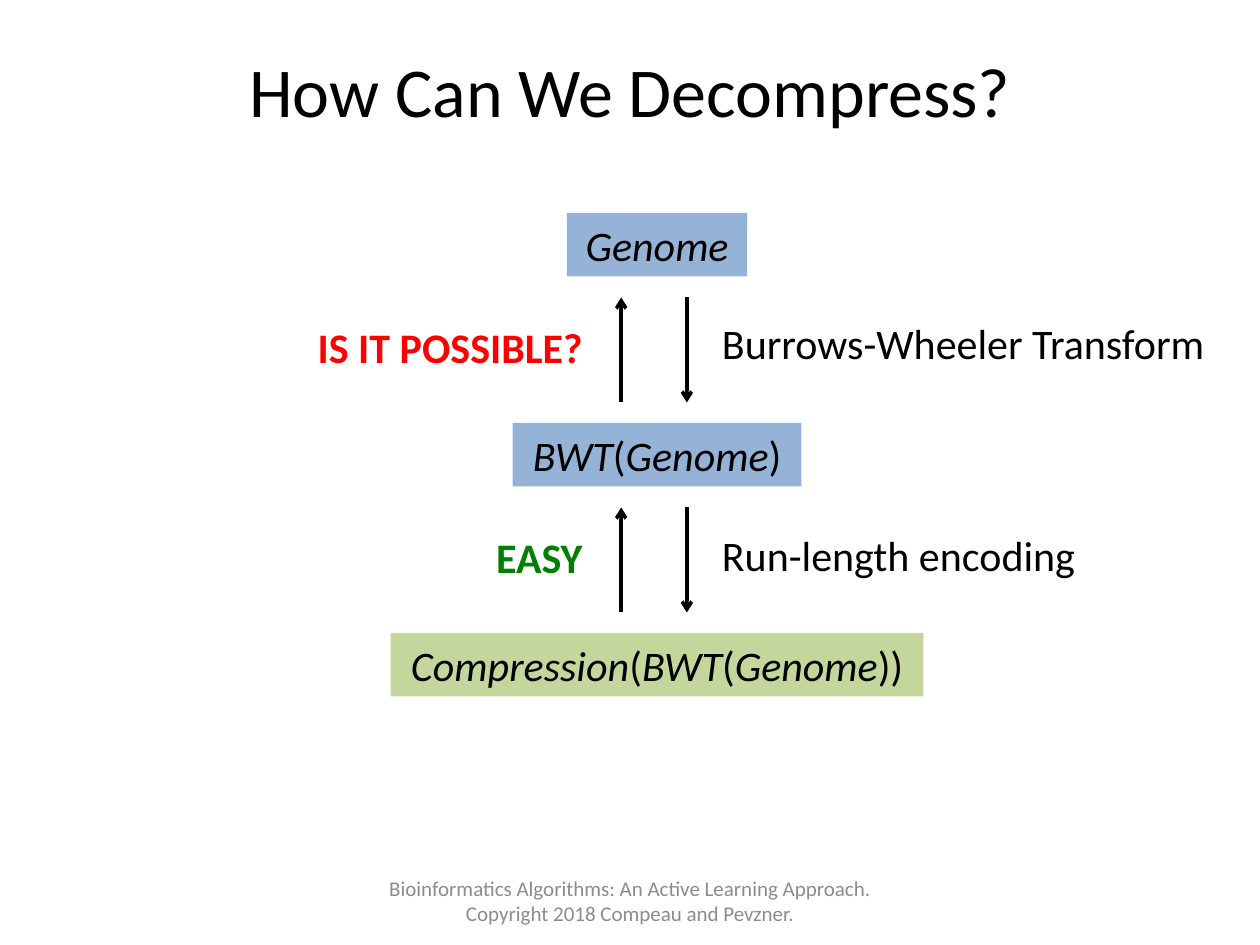
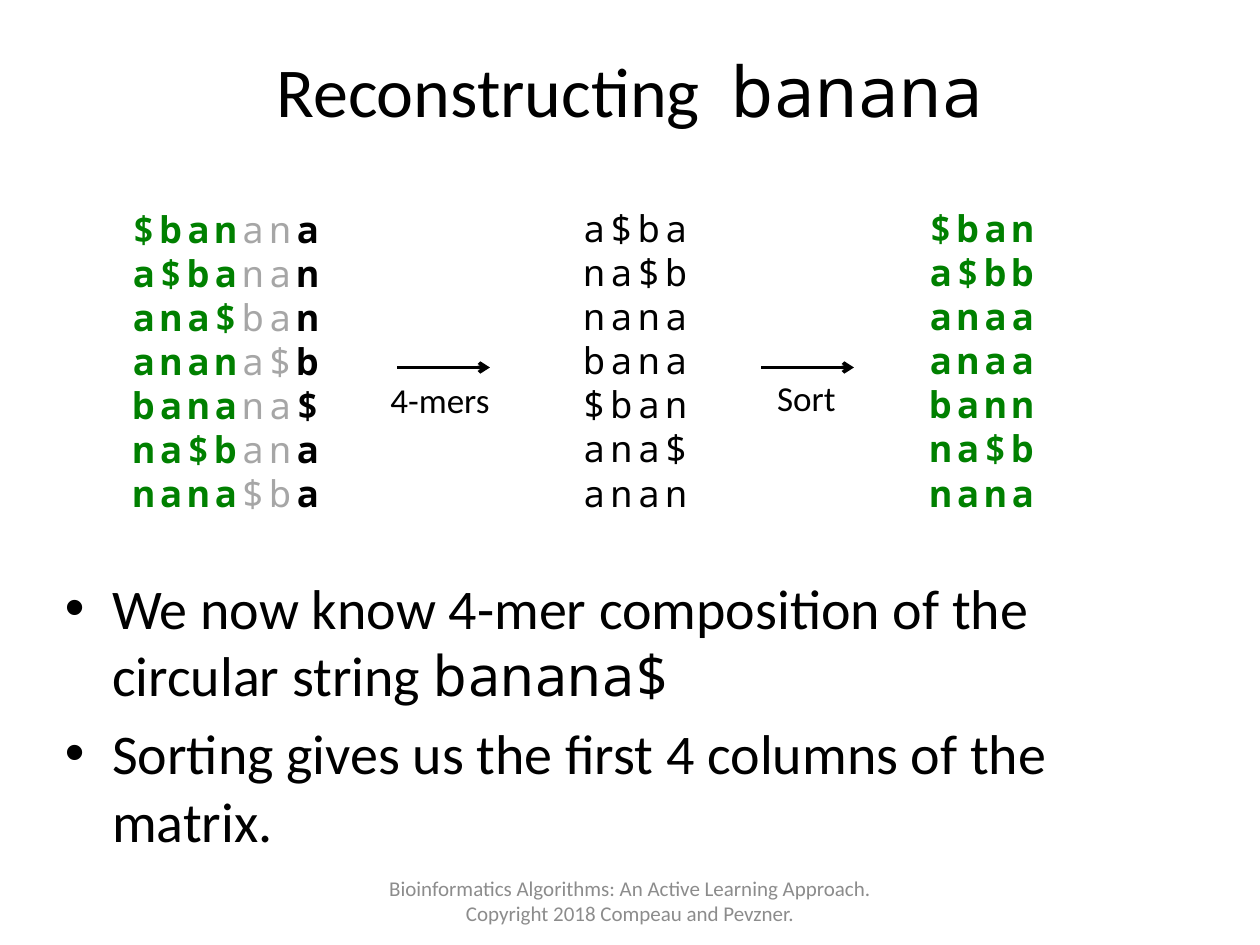
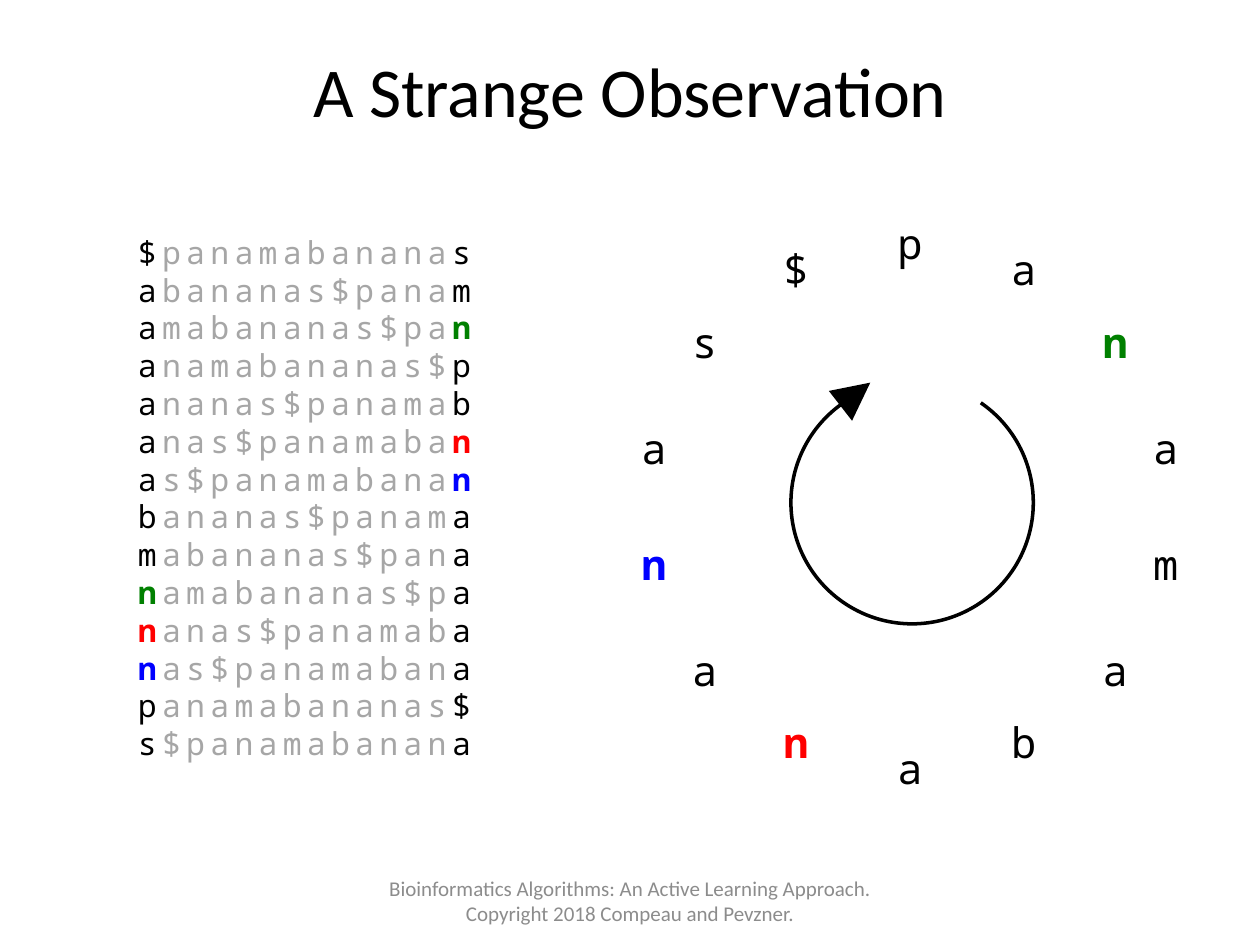
import math

from lxml import etree
from pptx import Presentation
from pptx.dml.color import RGBColor
from pptx.enum.shapes import MSO_CONNECTOR, MSO_SHAPE
from pptx.enum.text import MSO_ANCHOR, PP_ALIGN
from pptx.oxml.ns import qn
from pptx.util import Pt

LEFT, CENTER, RIGHT = PP_ALIGN.LEFT, PP_ALIGN.CENTER, PP_ALIGN.RIGHT
TOP, MIDDLE = MSO_ANCHOR.TOP, MSO_ANCHOR.MIDDLE
ARC, TRIANGLE = MSO_SHAPE.ARC, MSO_SHAPE.ISOSCELES_TRIANGLE
STRAIGHT = MSO_CONNECTOR.STRAIGHT

COLORS = {name: RGBColor.from_string(code) for name, code in {
    "black": "000000", "gray": "A6A6A6", "footer": "8C8C8C", "green": "008000",
    "red": "FF0000", "blue": "0000FF", "sky": "95B3D7", "lime": "C3D69B",
}.items()}
SANS, MONO = "Calibri", "Noto Sans Mono"
FOOTER = ("Bioinformatics Algorithms: An Active Learning Approach. "
          "Copyright 2018 Compeau and Pevzner.")


def write(page, place, paragraphs, size, align=LEFT, anchor=TOP, wrap=True,
          spacing=0, **base):
    """Add a text box; each paragraph is a list of (text, format) spans."""
    box = page.shapes.add_textbox(*map(Pt, place))
    frame = box.text_frame
    frame.word_wrap = wrap
    frame.vertical_anchor = anchor
    for number, spans in enumerate(paragraphs):
        para = frame.add_paragraph() if number else frame.paragraphs[0]
        para.alignment = align
        for text, changes in spans:
            span = para.add_run()
            span.text = text
            style = {"name": SANS, "color": "black", "size": Pt(size), **base, **changes}
            span.font.color.rgb = COLORS[style.pop("color")]
            for name, value in style.items():
                setattr(span.font, name, value)
            if spacing:
                span._r.get_or_add_rPr().set("spc", str(spacing * 100))
    return box


def draw_arrow(page, x1, y1, x2, y2):
    arrow = page.shapes.add_connector(STRAIGHT, Pt(x1), Pt(y1), Pt(x2), Pt(y2))
    arrow.line.color.rgb = COLORS["black"]
    arrow.line.width = Pt(2)
    properties = arrow.element.spPr
    etree.SubElement(properties.find(qn("a:ln")), qn("a:tailEnd"), type="arrow")
    etree.SubElement(properties, qn("a:effectLst"))


deck = Presentation()
deck.slide_width, deck.slide_height = Pt(720), Pt(540)

# Titles and footers
titles = [
    [("How Can We Decompress?", {})],
    [("Reconstructing  ", {}), ("banana", {"name": MONO})],
    [("A Strange Observation", {})],
]
pages = []
for title in titles:
    page = deck.slides.add_slide(deck.slide_layouts[6])
    write(page, (36, 6, 648, 90), [title], 40, CENTER, MIDDLE)
    write(page, (204, 500.5, 312, 28.75), [[(FOOTER, {})]], 12, CENTER, MIDDLE,
          color="footer")
    pages.append(page)
decompress, reconstruct, observation = pages

# Slide 1: stages of compression
italic = {"italic": True}
genome = [("Genome", italic)]
bwt = [("BWT", italic), ("(", {}), *genome, (")", {})]
compression = [("Compression", italic), ("(", {}), *bwt, (")", {})]
stages = [(genome, 103, "sky"), (bwt, 165, "sky"), (compression, 304.5, "lime")]
for level, (spans, width, fill) in enumerate(stages):
    stage = write(decompress, (375.5 - width / 2, 121.7 + 120 * level, width, 36.3),
                  [spans], 24, CENTER, wrap=False)
    stage.fill.solid()
    stage.fill.fore_color.rgb = COLORS[fill]

# Slide 1: steps down and back up
steps = [
    ("Burrows-Wheeler Transform", 297, 178, "IS IT POSSIBLE?", 168, 180, "red"),
    ("Run-length encoding", 219, 299, "EASY", 66, 300, "green"),
]
for level, (down, down_width, down_top, up, up_width, up_top, color) in enumerate(steps):
    top = 170 + 120 * level
    draw_arrow(decompress, 392.5, top, 392.5, top + 60)
    draw_arrow(decompress, 355, top + 60, 355, top)
    write(decompress, (405.5, down_top, down_width, 36.3), [[(down, {})]], 24, wrap=False)
    write(decompress, (340 - up_width, up_top, up_width, 36.3), [[(up, {})]], 24, RIGHT,
          wrap=False, color=color, bold=True)

# Slide 2: rotations, their 4-mers and the sorted list
word = "banana$"
rotations = sorted(word[i:] + word[:i] for i in range(len(word)))
matrix = [[(row[:4], {"color": "green", "bold": True}), (row[4:-1], {"color": "gray"}),
           (row[-1], {"bold": True})] for row in rotations]
four_mers = [[(row[-1] + row[:3], {})] for row in rotations]
sorted_mers = [[(mer, {"color": "green", "bold": True})] for mer in
               ("$ban", "a$bb", "anaa", "anaa", "bann", "na$b", "nana")]
for left, top, rows in [(60, 114.5, matrix), (294, 114, four_mers),
                        (492, 114, sorted_mers)]:
    write(reconstruct, (left, top, 138, 185), rows, 21, CENTER, spacing=3, name=MONO)

for arrow_left, label, left, top, width in [(227, "4-mers", 216, 212.5, 72),
                                            (435, "Sort", 437, 211.5, 48)]:
    draw_arrow(reconstruct, arrow_left, 210, arrow_left + 53, 210)
    write(reconstruct, (left, top, width, 31.5), [[(label, {})]], 20, wrap=False)

# Slide 2: bullets
points = [
    [("We now know 4-mer composition of the circular string ", {}),
     ("banana$", {"name": MONO})],
    [("Sorting gives us the first 4 columns of the matrix.", {})],
]
body = write(reconstruct, (30, 324, 648, 192), points, 32)
for number, para in enumerate(body.text_frame.paragraphs):
    properties = para._p.get_or_add_pPr()
    properties.set("marL", str(Pt(27)))
    properties.set("indent", str(-Pt(27)))
    if number:
        para.space_before = Pt(6.4)
    etree.SubElement(properties, qn("a:buFont"), typeface="Arial")
    etree.SubElement(properties, qn("a:buChar"), char="•")

# Slide 3: sorted rotations, with each n followed by its colour
text = "panamabananas$"
marks = {i: {"color": color, "bold": True}
         for i, color in [(2, "green"), (8, "red"), (10, "blue")]}
starts = sorted(range(len(text)), key=lambda i: text[i:] + text[:i])
rows = []
for start in starts:
    row = text[start:] + text[:start]
    last = (start - 1) % len(text)
    rows.append([(row[0], marks.get(start, {})), (row[1:-1], {"color": "gray"}),
                 (row[-1], marks.get(last, {}))])
write(observation, (66, 129.5, 216, 312.5), rows, 18, CENTER, spacing=3, name=MONO)

# Slide 3: letters around a circle
for i, letter in enumerate(text):
    angle = 2 * math.pi * i / len(text)
    x = 520 + 150 * math.sin(angle)
    y = 289 - 150 * math.cos(angle)
    write(observation, (round(x - 14.4, 2), round(y - 18, 2), 28.8, 36),
          [[(letter, marks.get(i, {}))]], 24, CENTER, wrap=False, name=MONO)

# Slide 3: circular arrow
arc = observation.shapes.add_shape(ARC, Pt(452), Pt(218), Pt(138.5), Pt(138.5))
arc.shadow.inherit = False
arc.adjustments[0], arc.adjustments[1] = 182.72, 140.47
arc.fill.background()
arc.line.color.rgb = COLORS["black"]
arc.line.width = Pt(2)
head = observation.shapes.add_shape(TRIANGLE, Pt(478), Pt(214.5), Pt(21.6), Pt(21.6))
head.shadow.inherit = False
head.rotation = 52.1
head.fill.solid()
head.fill.fore_color.rgb = COLORS["black"]
head.line.fill.background()

deck.save("out.pptx")
